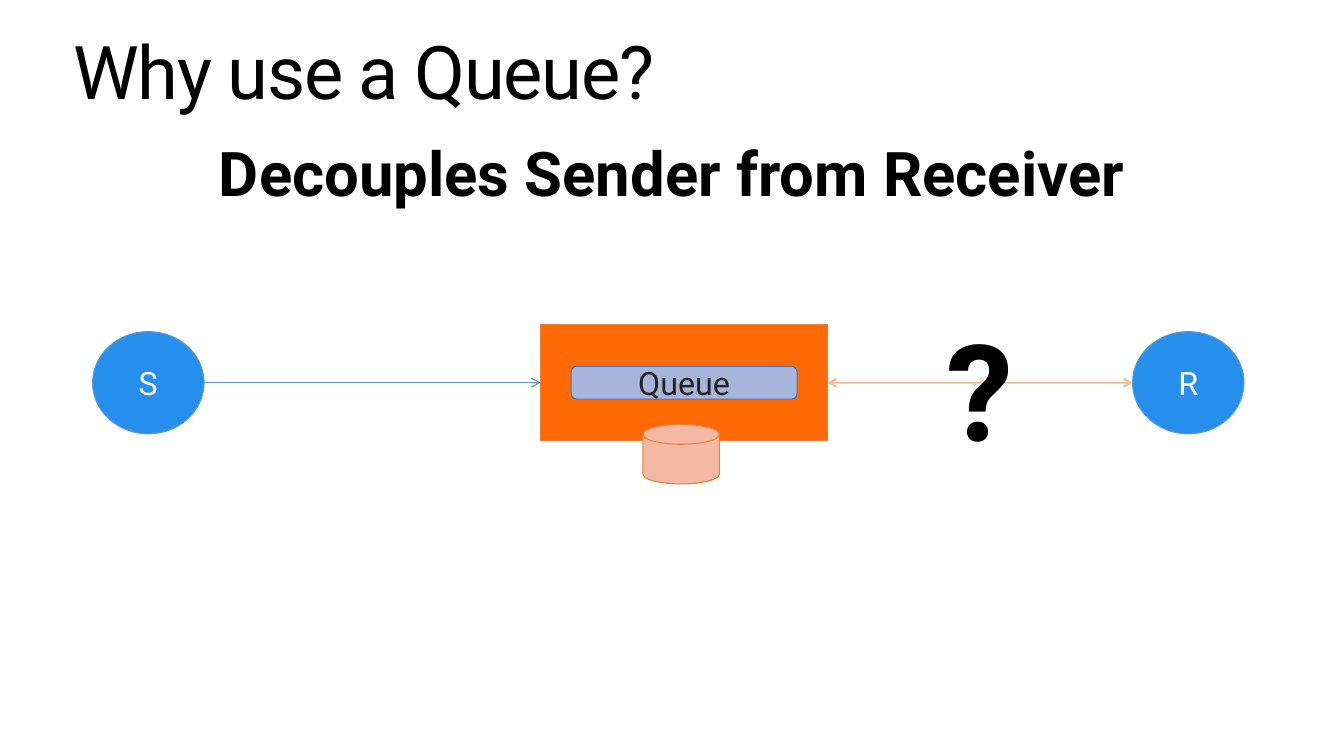
from pptx import Presentation
from pptx.dml.color import RGBColor
from pptx.enum.shapes import MSO_CONNECTOR, MSO_SHAPE
from pptx.enum.text import MSO_ANCHOR, PP_ALIGN
from pptx.oxml.ns import qn
from pptx.util import Pt
from lxml import etree

RECTANGLE, ROUNDED = MSO_SHAPE.RECTANGLE, MSO_SHAPE.ROUNDED_RECTANGLE
OVAL, DISK = MSO_SHAPE.OVAL, MSO_SHAPE.FLOWCHART_MAGNETIC_DISK
STRAIGHT = MSO_CONNECTOR.STRAIGHT
TOP, MIDDLE = MSO_ANCHOR.TOP, MSO_ANCHOR.MIDDLE
LEFT, CENTER = PP_ALIGN.LEFT, PP_ALIGN.CENTER

BLACK = RGBColor(0x00, 0x00, 0x00)
WHITE = RGBColor(0xFF, 0xFF, 0xFF)
CHARCOAL = RGBColor(0x23, 0x23, 0x23)
ORANGE = RGBColor(0xFF, 0x6A, 0x05)
ORANGE_EDGE = RGBColor(0xED, 0x7D, 0x31)
ORANGE_ARROW = RGBColor(0xFF, 0x76, 0x19)
SALMON = RGBColor(0xF3, 0xB9, 0xA4)
BLUE = RGBColor(0x26, 0x8F, 0xEE)
BLUE_EDGE = RGBColor(0x5B, 0x9B, 0xD5)
LAVENDER = RGBColor(0xA8, 0xB5, 0xDB)
LAVENDER_EDGE = RGBColor(0x44, 0x72, 0xC4)

TITLE_BOX = (41, 18, 878.4, 48.2)
SUBTITLE_BOX = (41, 95, 878.4, 62.6)
DIAGRAM_BOX = (66.2, 221, 822.4, 128)


def write_text(shape, text, size, color, bold=False, align=CENTER,
               anchor=MIDDLE, insets=(7.2, 3.6), line_spacing=1.0):
    frame = shape.text_frame
    horizontal, vertical = Pt(insets[0]), Pt(insets[1])
    frame_format = {
        "word_wrap": True, "vertical_anchor": anchor,
        "margin_left": horizontal, "margin_right": horizontal,
        "margin_top": vertical, "margin_bottom": vertical,
    }
    for name, value in frame_format.items():
        setattr(frame, name, value)
    paragraph = frame.paragraphs[0]
    paragraph.alignment = align
    paragraph.line_spacing = line_spacing
    run = paragraph.add_run()
    run.text = text
    font_format = {"name": "Roboto", "size": Pt(size), "bold": bold}
    for name, value in font_format.items():
        setattr(run.font, name, value)
    run.font.color.rgb = color
    return run


def add_text(slide, box, text, size, insets=(11.5, 7.2), **options):
    shape = slide.shapes.add_textbox(*map(Pt, box))
    return write_text(shape, text, size, BLACK, anchor=TOP, insets=insets,
                      line_spacing=0.9, **options)


def add_block(slide, kind, box, fill, edge):
    shape = slide.shapes.add_shape(kind, *map(Pt, box))
    shape.shadow.inherit = False
    shape.fill.solid()
    shape.fill.fore_color.rgb = fill
    shape.line.color.rgb = edge
    shape.line.width = Pt(0.75)
    return shape


def add_arrow(slide, start, end, y, color, width, ends, opacity=100):
    connector = slide.shapes.add_connector(
        STRAIGHT, Pt(start), Pt(y), Pt(end), Pt(y))
    connector.line.color.rgb = color
    connector.line.width = Pt(width)
    properties = connector._element.spPr
    line = properties.find(qn("a:ln"))
    if opacity < 100:
        color_element = line.find(".//" + qn("a:srgbClr"))
        etree.SubElement(color_element, qn("a:alpha"), val=str(opacity * 1000))
    for end_name in ends:
        etree.SubElement(line, qn("a:" + end_name), type="arrow")
    etree.SubElement(properties, qn("a:effectLst"))


def add_headings(slide, title_box, subtitle_box):
    title = add_text(slide, title_box, "Why use a Queue?", 52.9, align=LEFT)
    title._r.get_or_add_rPr().set("spc", "-100")
    add_text(slide, subtitle_box, "Decouples Sender from Receiver", 44, bold=True)


def add_broker(slide, box):
    left, top, width, height = box
    add_block(slide, RECTANGLE, box, ORANGE, ORANGE_EDGE)
    # Message store hanging from the lower edge
    add_block(slide, DISK, (left + 73, top + 71.3, 54.7, 42.5),
              SALMON, ORANGE_EDGE)
    queue_width, queue_height = 161.3, 23.4
    queue_box = (left + (width - queue_width) / 2,
                 top + (height - queue_height) / 2, queue_width, queue_height)
    queue = add_block(slide, ROUNDED, queue_box, LAVENDER, LAVENDER_EDGE)
    write_text(queue, "Queue", 23, CHARCOAL)


def add_diagram(slide, box):
    left, top, width, _ = box
    right = left + width
    node_width, node_height = 79.6, 73
    middle = top + 52.4

    # Broker with its queue
    broker_left, broker_width, broker_height = left + 320, 205, 83
    broker_right = broker_left + broker_width
    add_broker(slide, (broker_left, middle - broker_height / 2,
                       broker_width, broker_height))

    # Sender and receiver
    for label, node_left in (("S", left), ("R", right - node_width)):
        node_box = (node_left, middle - node_height / 2, node_width, node_height)
        node = add_block(slide, OVAL, node_box, BLUE, BLUE_EDGE)
        write_text(node, label, 23, WHITE)

    # Message flow
    add_arrow(slide, left + node_width, broker_left, middle, BLUE_EDGE, 0.85,
              ("tailEnd",))
    add_arrow(slide, broker_right, right - node_width, middle, ORANGE_ARROW,
              1.35, ("headEnd", "tailEnd"), opacity=50)

    # Open question over the receiving side
    add_text(slide, (left + 573.9, top, 120, 128), "?", 96,
             insets=(14.4, 11.5), bold=True)


def main():
    presentation = Presentation()
    presentation.slide_width, presentation.slide_height = Pt(960), Pt(540)
    slide = presentation.slides.add_slide(presentation.slide_layouts[6])
    add_headings(slide, TITLE_BOX, SUBTITLE_BOX)
    add_diagram(slide, DIAGRAM_BOX)
    presentation.save("out.pptx")


if __name__ == "__main__":
    main()
